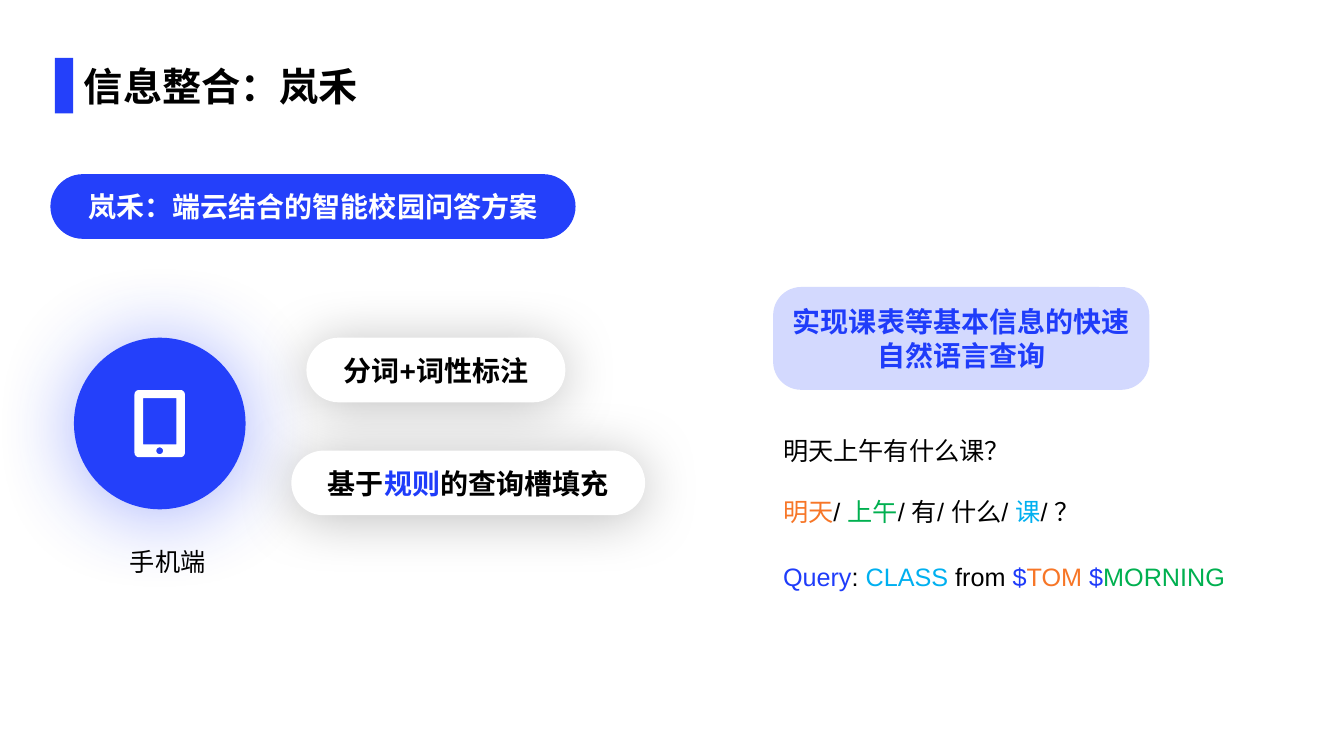
import math
import pptx
import pptx.util
import pptx.dml.color
import pptx.enum.shapes
import pptx.enum.text
import pptx.oxml
import pptx.oxml.ns

Pt = pptx.util.Pt
SHAPES = pptx.enum.shapes.MSO_SHAPE
ANCHOR = pptx.enum.text.MSO_ANCHOR
ALIGN = pptx.enum.text.PP_ALIGN

COLORS = {
    "blue": "2440FA", "accent": "1F3CFA", "pale": "D3D9FE", "white": "FFFFFF",
    "black": "000000", "orange": "F77627", "green": "00B050", "cyan": "00B0F0",
}
FONT = "Arial"

# Content: runs are (text, colour); boxes are (left, top, width, height)
TITLE = [("信息整合：岚禾", "black")]
SOFT_GREY = ("black", 25, 41)  # colour, opacity %, blur
BLUE_GLOW = ("blue", 42, 63)
PILLS = [  # box, corner, fill, shadow, runs
    ((36, 124.4, 375.12, 46.2), 0.5, "blue", None,
     [("岚禾：端云结合的智能校园问答方案", "white")]),
    ((218.88, 241.2, 185, 46.2), 0.5, "white", SOFT_GREY,
     [("分词+词性标注", "black")]),
    ((208.08, 321.84, 252.7, 46.2), 0.5, "white", SOFT_GREY,
     [("基于", "black"), ("规则", "accent"), ("的查询槽填充", "black")]),
    ((552.24, 205, 268.7, 73.44), 0.274, "pale", None,
     [("实现课表等基本信息的快速自然语言查询", "accent")]),
]
LABELS = [  # left, top, width, wraps, runs
    (85.68, 386.64, 69.12, False, [("手机端", "black")]),
    (552.24, 307.44, 177.84, False, [("明天上午有什么课？", "black")]),
    (552.24, 350.64, 228.96, True,
     [("明天", "orange"), ("/ ", "black"), ("上午", "green"),
      ("/ 有/ 什么/ ", "black"), ("课", "cyan"), ("/ ？", "black")]),
    (552.24, 397.44, 338.4, False,
     [("Query", "accent"), (": ", "black"), ("CLASS", "cyan"), (" from ", "black"),
      ("$", "accent"), ("TOM ", "orange"), ("$", "accent"), ("MORNING", "green")]),
]
CIRCLE = (52.8, 241.2, 122.6, 122.6)
TABLET = [  # box and corner radius of body, screen, button
    ((96.1, 278.6, 36, 48), 3.2),
    ((102.2, 284.4, 23.9, 33.1), 0),
    ((111.7, 319.6, 4.8, 4.8), 2.4),
]


def rgb(name):
    return pptx.dml.color.RGBColor.from_string(COLORS[name])


def points(box):
    return [Pt(length) for length in box]


def paint(shape, fill):
    shape.shadow.inherit = False
    shape.fill.solid()
    shape.fill.fore_color.rgb = rgb(fill)
    shape.line.fill.background()


def add_shadow(shape, color, opacity, blur):
    effects = shape._element.spPr.find(pptx.oxml.ns.qn("a:effectLst"))
    effects.append(pptx.oxml.parse_xml(
        f'<a:outerShdw {pptx.oxml.ns.nsdecls("a")} blurRad="{Pt(blur)}" '
        f'dist="{Pt(3)}" dir="5400000" algn="t" rotWithShape="0">'
        f'<a:srgbClr val="{COLORS[color]}"><a:alpha val="{opacity * 1000}"/>'
        '</a:srgbClr></a:outerShdw>'))


def write(shape, runs, size, bold=False, align=ALIGN.LEFT, anchor=ANCHOR.TOP, wrap=True):
    frame = shape.text_frame
    frame.word_wrap = wrap
    frame.vertical_anchor = anchor
    para = frame.paragraphs[0]
    para.alignment = align
    for text, color in runs:
        span = para.add_run()
        span.text = text
        span.font.name = FONT
        span.font.size = Pt(size)
        span.font.bold = bold
        span.font.color.rgb = rgb(color)
    return para


def rounded_outline(box, radius):
    """Corner arcs as closely spaced points, clockwise from the top left."""
    left, top, width, height = box
    if not radius:
        corners = [(left, top), (left + width, top),
                   (left + width, top + height), (left, top + height)]
        return [tuple(points(corner)) for corner in corners]
    near_x, far_x = left + radius, left + width - radius
    near_y, far_y = top + radius, top + height - radius
    centres = [(near_x, near_y), (far_x, near_y), (far_x, far_y), (near_x, far_y)]
    outline = []
    for quarter, (x, y) in enumerate(centres):
        for step in range(9):
            angle = math.radians(180 + 90 * quarter + 11.25 * step)
            outline.append((Pt(x + radius * math.cos(angle)),
                            Pt(y + radius * math.sin(angle))))
    return outline


deck = pptx.Presentation()
deck.slide_width, deck.slide_height = Pt(960), Pt(540)
page = deck.slides.add_slide(deck.slide_layouts[6])
shapes = page.shapes

# Title with its marker bar
bar = shapes.add_shape(SHAPES.RECTANGLE, *points((39.24, 41.4, 13, 39.6)))
paint(bar, "blue")
title = shapes.add_textbox(*points((52.9, 1.2, 854.6, 80.7)))
write(title, TITLE, 28, bold=True, anchor=ANCHOR.BOTTOM).line_spacing = 0.9

# Phone circle
circle = shapes.add_shape(SHAPES.OVAL, *points(CIRCLE))
paint(circle, "blue")
add_shadow(circle, *BLUE_GLOW)

# Tablet icon: one outline with screen and button cut out
body, *cutouts = [rounded_outline(box, radius) for box, radius in TABLET]
builder = shapes.build_freeform(*body[0], scale=1.0)
builder.add_line_segments(body[1:], close=True)
for cutout in cutouts:
    cutout.reverse()
    builder.move_to(*cutout[0])
    builder.add_line_segments(cutout[1:], close=True)
paint(builder.convert_to_shape(), "white")

# Rounded boxes
for box, corner, fill, shadow, runs in PILLS:
    pill = shapes.add_shape(SHAPES.ROUNDED_RECTANGLE, *points(box))
    pill.adjustments[0] = corner
    paint(pill, fill)
    if shadow:
        add_shadow(pill, *shadow)
    write(pill, runs, 20, bold=True, align=ALIGN.CENTER, anchor=ANCHOR.MIDDLE)

# Plain labels and the query example
for left, top, width, wraps, runs in LABELS:
    label = shapes.add_textbox(*points((left, top, width, 29)))
    write(label, runs, 18, wrap=wraps)

deck.save("out.pptx")
